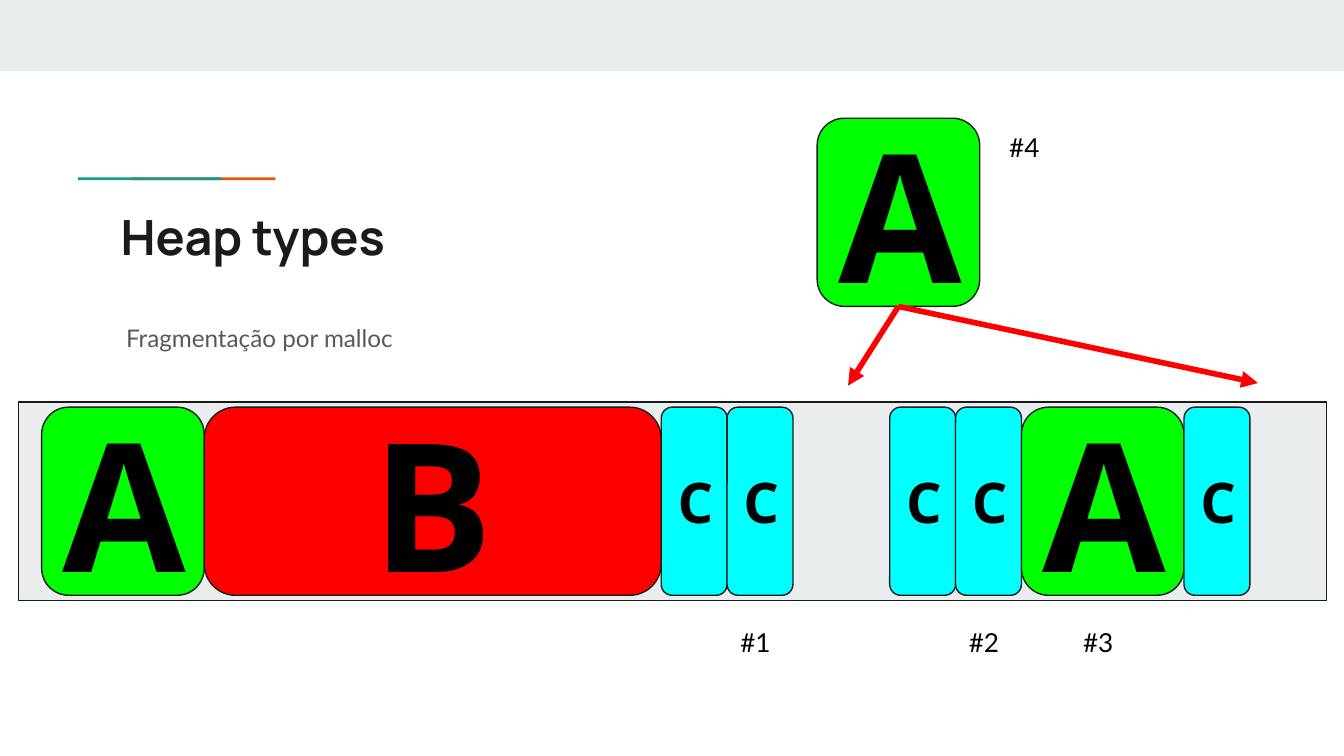
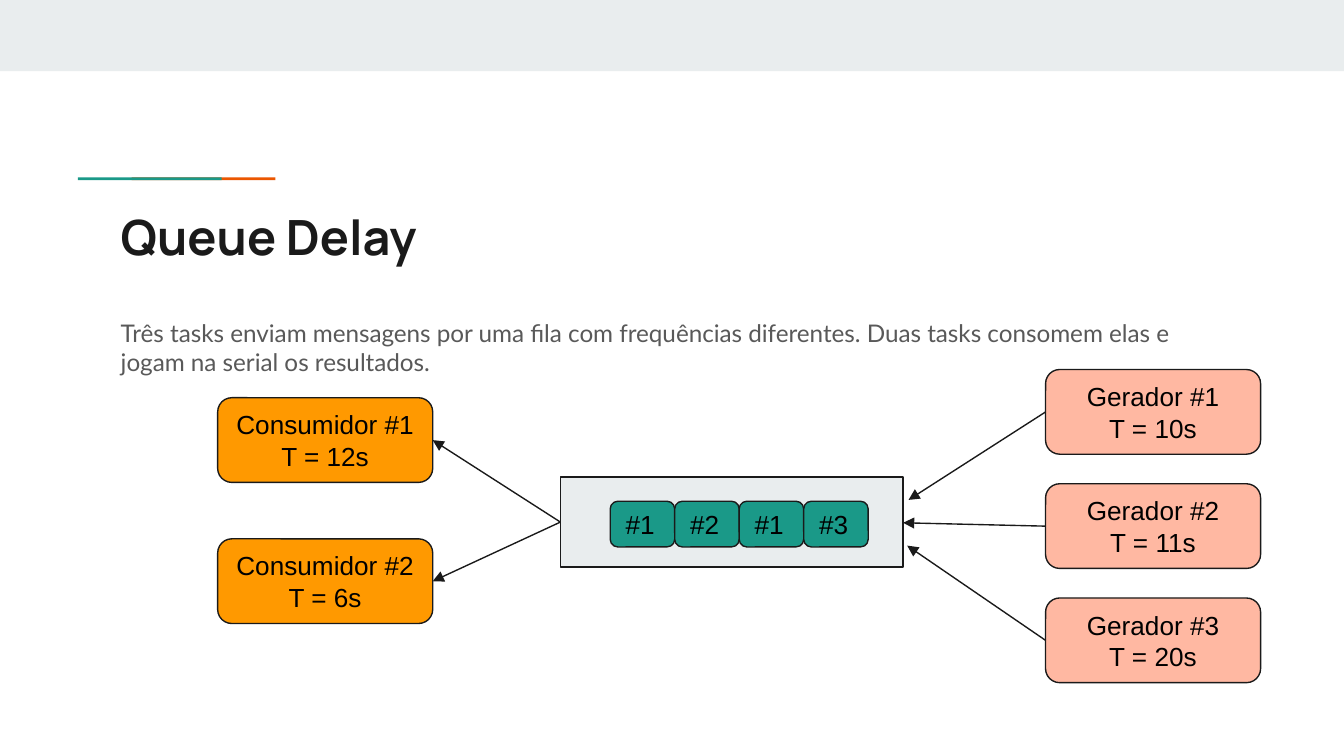
import pptx
import pptx.dml.color
import pptx.enum.shapes
import pptx.enum.text
import pptx.oxml
import pptx.oxml.ns
import pptx.util
from lxml import etree

PX = 9144  # EMU; 100 px to the inch
SHAPES = pptx.enum.shapes.MSO_SHAPE
ALIGN = pptx.enum.text.PP_ALIGN
ANCHOR = pptx.enum.text.MSO_ANCHOR
LEFT, BOTTOM, RIGHT = 1, 2, 3  # connection sites

INK, BLACK, GREY = "1A1A1A", "000000", "595959"
PALE, TEAL, ORANGE = "E9EDEE", "1A9988", "EB5600"
RED, GREEN, CYAN = "FF0000", "00FF00", "00FFFF"
AMBER, PEACH = "FF9900", "FFB8A2"


def emu(*lengths):
    return [pptx.util.Emu(length * PX) for length in lengths]


def color(hex_value):
    return pptx.dml.color.RGBColor.from_string(hex_value)


def write(frame, text, size=14, font="Lato", ink=BLACK, bold=False,
          align=ALIGN.LEFT, anchor=ANCHOR.TOP, spacing=None):
    """Fill a text frame, one paragraph for each line of the text."""
    frame.word_wrap = True
    frame.vertical_anchor = anchor
    frame.margin_left, frame.margin_top, frame.margin_right, frame.margin_bottom = emu(10, 10, 10, 10)
    for index, line in enumerate(text.split("\n")):
        paragraph = frame.add_paragraph() if index else frame.paragraphs[0]
        paragraph.alignment = align
        if spacing:
            paragraph.line_spacing = spacing
        run = paragraph.add_run()
        run.text = line
        run.font.name = font
        run.font.size = pptx.util.Pt(size)
        run.font.bold = bold
        run.font.color.rgb = color(ink)


class Deck:
    def __init__(self, width):
        """Start a 16:9 deck."""
        self.file = pptx.Presentation()
        self.file.slide_width = pptx.util.Emu(width * PX)
        self.file.slide_height = pptx.util.Emu(width * PX * 9 // 16)
        self.width = width
        self.slide = None

    def start_slide(self, title):
        """Add a slide with the top band, the two-colour rule and the title."""
        self.slide = self.file.slides.add_slide(self.file.slide_layouts[6])
        self.box(0, 0, self.width, 53, PALE, line=None)
        self.box(98, 132, 107, 2, ORANGE, line=None)
        self.box(58, 132, 107, 2, TEAL, line=None)
        self.text(80, 144, 841, 59, title, size=26, font="Manrope", ink=INK, bold=True)

    def text(self, x, y, width, height, text, **style):
        label = self.slide.shapes.add_textbox(*emu(x, y, width, height))
        write(label.text_frame, text, **style)

    def box(self, x, y, width, height, fill, text=None, kind=SHAPES.RECTANGLE,
            line=INK, **style):
        shape = self.slide.shapes.add_shape(kind, *emu(x, y, width, height))
        shape.shadow.inherit = False
        shape.fill.solid()
        shape.fill.fore_color.rgb = color(fill)
        if line:
            shape.line.color.rgb = color(line)
            shape.line.width = pptx.util.Pt(0.75)
        else:
            shape.line.fill.background()
        if text:
            write(shape.text_frame, text, anchor=ANCHOR.MIDDLE, **style)
        return shape

    def arrow(self, source, side, x, y, ink=INK, weight=0.75):
        """Draw an arrow from a side of a shape to the point x, y."""
        arrow = self.slide.shapes.add_connector(
            pptx.enum.shapes.MSO_CONNECTOR.STRAIGHT, *emu(x, y, x, y))
        arrow.begin_connect(source, side)
        arrow.line.color.rgb = color(ink)
        arrow.line.width = pptx.util.Pt(weight)
        outline = arrow._element.spPr.find(pptx.oxml.ns.qn("a:ln"))
        etree.SubElement(outline, pptx.oxml.ns.qn("a:tailEnd")).set("type", "triangle")
        etree.SubElement(arrow._element.spPr, pptx.oxml.ns.qn("a:effectLst"))
        return arrow


# letter: width, fill, text size
BLOCKS = {"A": (121, GREEN, 96), "B": (340, RED, 96), "C": (49, CYAN, 30)}


def memory_block(deck, letter, x, y):
    width, fill, size = BLOCKS[letter]
    return deck.box(x, y, width, 140, fill, letter, kind=SHAPES.ROUNDED_RECTANGLE,
                    size=size, font="Open Sans", bold=True, align=ALIGN.CENTER)


def heap_slide(deck):
    deck.start_slide("Heap types")
    deck.text(84, 227, 837, 247, "Fragmentação por malloc", size=13, ink=GREY, spacing=1.15)
    deck.box(14, 299, 973, 148, PALE)
    for x, letters in ((31, "ABCC"), (662, "CCAC")):
        for letter in letters:
            memory_block(deck, letter, x, 303)
            x += BLOCKS[letter][0]
    pending = memory_block(deck, "A", 608, 88)
    for x, y in ((631, 287), (936, 285)):
        deck.arrow(pending, BOTTOM, x, y, ink=RED, weight=3)
    for step, (x, y) in enumerate(((541, 456), (711, 456), (796, 456), (741, 88)), 1):
        deck.text(x, y, 49, 54, f"#{step}")


def task(deck, x, y, fill, kind, name, period):
    return deck.box(x, y, 160, 63, fill, f"{name}\nT = {period}s", kind=kind,
                    font="Arial", align=ALIGN.CENTER)


def queue_slide(deck):
    deck.start_slide("Queue Delay")
    deck.text(80, 227, 841, 59,
              "Três tasks enviam mensagens por uma fila com frequências diferentes. "
              "Duas tasks consomem elas e jogam na serial os resultados.",
              size=13, ink=GREY)
    queue = deck.box(417, 355, 255, 67, PALE)
    for index, sender in enumerate((1, 2, 1, 3)):
        deck.box(454 + 48 * index, 373, 48, 34, TEAL, f"#{sender}",
                 kind=SHAPES.ROUNDED_RECTANGLE, font="Arial")
    arrivals = ((10, 676, 372), (11, 672, 389), (20, 675, 406))
    for index, (period, x, y) in enumerate(arrivals):
        producer = task(deck, 778, 275 + 85 * index, PEACH, SHAPES.FLOWCHART_ALTERNATE_PROCESS,
                        f"Gerador #{index + 1}", period)
        deck.arrow(producer, LEFT, x, y)
    for index, period in enumerate((12, 6)):
        consumer = task(deck, 162, 296 + 105 * index, AMBER, SHAPES.ROUNDED_RECTANGLE,
                        f"Consumidor #{index + 1}", period)
        deck.arrow(queue, LEFT, 322, 328 + 105 * index).end_connect(consumer, RIGHT)


def main():
    deck = Deck(1000)
    heap_slide(deck)
    queue_slide(deck)
    deck.file.save("out.pptx")


if __name__ == "__main__":
    main()
